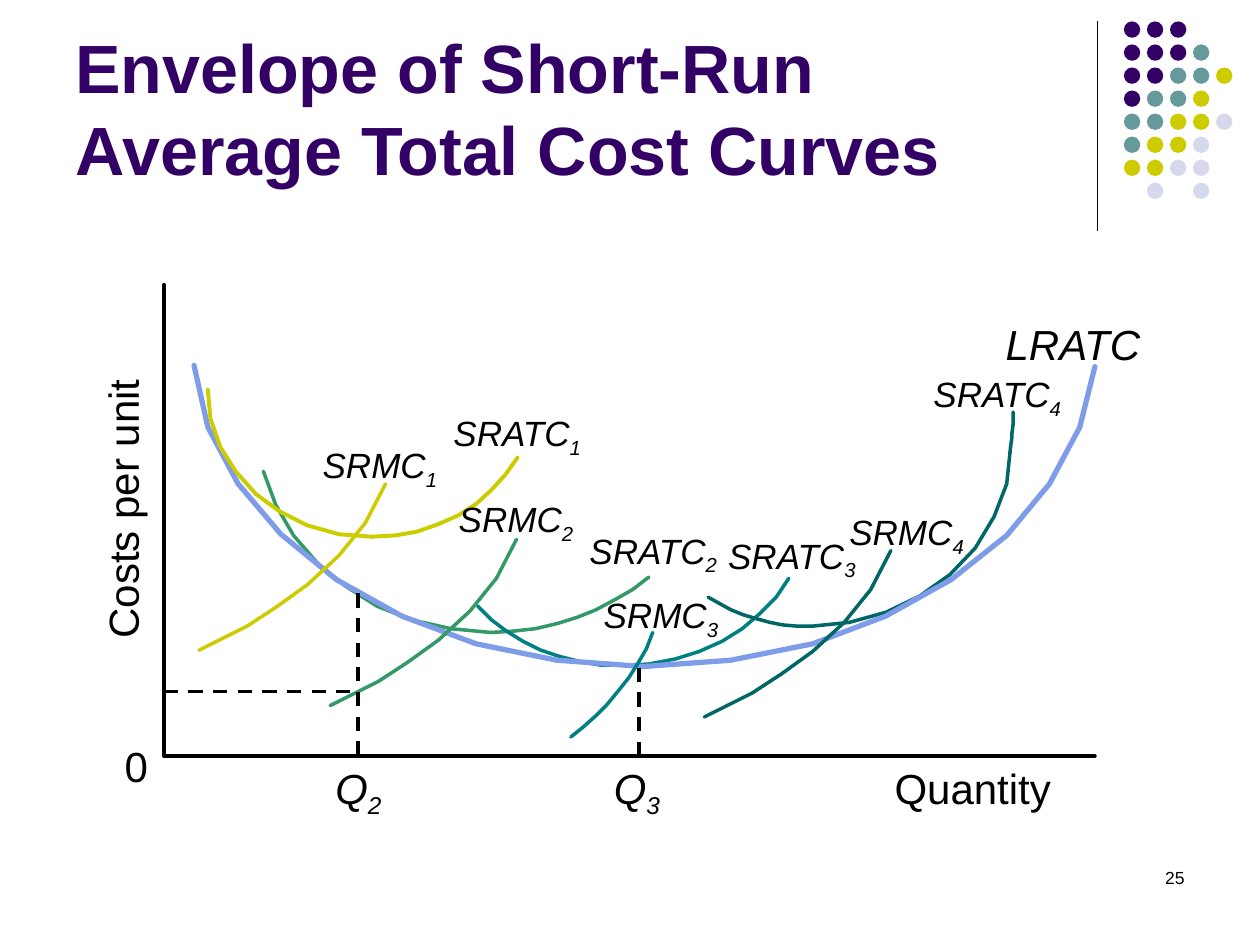
from dataclasses import dataclass

from pptx import Presentation
from pptx.dml.color import RGBColor as RGB
from pptx.enum.dml import MSO_LINE_DASH_STYLE as Dash
from pptx.enum.shapes import MSO_CONNECTOR as Conn, MSO_SHAPE as Shape
from pptx.enum.text import MSO_ANCHOR as Anchor, MSO_AUTO_SIZE as Auto, PP_ALIGN as Align
from pptx.oxml.ns import qn
from pptx.util import Inches, Pt
from lxml import etree

COLORS = {
    "black": "000000", "purple": "330066", "slate": "669999", "yellow": "CCCC00",
    "lilac": "D8D8EC", "green": "339966", "teal": "008080", "deep": "006666",
    "blue": "7E9CE8",
}
Points = list[tuple[float, float]]


@dataclass
class Curve:
    color: str
    points: Points
    width: float = 2


@dataclass
class Label:
    text: str
    left: float
    top: float
    width: float
    height: float = 0.5
    sub: str = ""
    size: float = 24
    italic: bool = False
    bold: bool = False
    color: str = "black"
    align: Align = Align.CENTER
    anchor: Anchor = Anchor.TOP
    wrap: bool = False
    rotation: float = 0


def rgb(name: str) -> RGB:
    return RGB.from_string(COLORS[name])


def shift(points: Points, dx: float, dy: float) -> Points:
    return [(x + dx, y + dy) for x, y in points]


def add_line(slide, start: tuple, end: tuple, width: float, dashed: bool = False) -> None:
    line = slide.shapes.add_connector(Conn.STRAIGHT, *map(Inches, start + end))
    line.line.color.rgb = rgb("black")
    line.line.width = Pt(width)
    if dashed:
        line.line.dash_style = Dash.DASH
    etree.SubElement(line._element.spPr, qn("a:effectLst"))


def add_curve(slide, curve: Curve) -> None:
    start, *rest = [(Inches(x), Inches(y)) for x, y in curve.points]
    builder = slide.shapes.build_freeform(*start)
    builder.add_line_segments(rest, close=False)
    sp = builder.convert_to_shape()
    sp.shadow.inherit = False
    sp.fill.background()
    sp.line.color.rgb = rgb(curve.color)
    sp.line.width = Pt(curve.width)
    sp.line._get_or_add_ln().set("cap", "rnd")


def add_label(slide, label: Label) -> None:
    box = slide.shapes.add_textbox(
        *map(Inches, (label.left, label.top, label.width, label.height)))
    box.rotation = label.rotation
    tf = box.text_frame
    tf.word_wrap = label.wrap
    tf.auto_size = Auto.NONE if label.wrap else Auto.SHAPE_TO_FIT_TEXT
    tf.vertical_anchor = label.anchor
    p = tf.paragraphs[0]
    p.alignment = label.align
    for text, baseline in ((label.text, None), (label.sub, "-25000")):
        if not text:
            continue
        r = p.add_run()
        r.text = text
        r.font.name = "Arial"
        r.font.size = Pt(label.size)
        r.font.italic = label.italic
        r.font.bold = label.bold
        r.font.color.rgb = rgb(label.color)
        if baseline:
            r._r.get_or_add_rPr().set("baseline", baseline)


def add_dots(slide) -> None:
    names = {"P": "purple", "S": "slate", "Y": "yellow", "L": "lilac"}
    rows = ["PPP", "PPPS", "PPSSY", "PSSY", "SSYYL", "SYYL", "YYLL", " L L"]
    pitch = 1.28 / (len(rows) - 1)
    for i, row in enumerate(rows):
        for j, code in enumerate(row):
            if code not in names:
                continue
            dot = slide.shapes.add_shape(
                Shape.OVAL, Inches(8.92 + j * pitch), Inches(0.17 + i * pitch),
                Inches(0.13), Inches(0.13))
            dot.shadow.inherit = False
            dot.fill.solid()
            dot.fill.fore_color.rgb = rgb(names[code])
            dot.line.fill.background()


# Marginal cost curves 1, 2 and 4 share one outline
SRMC = [(1.58, 5.16), (1.76, 5.07), (1.96, 4.97), (2.19, 4.82),
        (2.44, 4.64), (2.69, 4.41), (2.9, 4.15), (3.06, 3.84)]

CURVES = [
    # Axes
    Curve("black", [(1.3, 2.26), (1.3, 6), (8.69, 6)]),
    # SRATC 2: right and left arms
    Curve("green", [(5.15, 4.58), (5.02, 4.68), (4.88, 4.76), (4.73, 4.84), (4.58, 4.9),
                    (4.42, 4.95), (4.25, 4.99), (4.07, 5.01), (3.9, 5.02)]),
    Curve("green", [(3.9, 5.02), (3.58, 4.99), (3.27, 4.92), (2.99, 4.81), (2.74, 4.65),
                    (2.52, 4.47), (2.33, 4.25), (2.19, 4.01), (2.09, 3.74)]),
    # SRATC 3
    Curve("teal", [(6.26, 4.59), (6.16, 4.74), (6.03, 4.87), (5.89, 4.99), (5.73, 5.09),
                   (5.55, 5.17), (5.36, 5.23), (5.15, 5.27), (4.94, 5.28)]),
    Curve("teal", [(4.94, 5.28), (4.77, 5.28), (4.6, 5.25), (4.44, 5.21), (4.29, 5.16),
                   (4.15, 5.09), (4.02, 5.01), (3.9, 4.92), (3.79, 4.81)]),
    # SRATC 4: tip, right and left arms
    Curve("deep", [(8.04, 3.27), (8.04, 3.37), (8.03, 3.45), (8.03, 3.48), (8.02, 3.55)]),
    Curve("deep", [(8.02, 3.55), (7.99, 3.84), (7.89, 4.1), (7.74, 4.35), (7.54, 4.56),
                   (7.3, 4.73), (7.03, 4.86), (6.74, 4.94), (6.44, 4.97)]),
    Curve("deep", [(6.44, 4.97), (6.33, 4.97), (6.21, 4.96), (6.11, 4.94), (6, 4.91),
                   (5.9, 4.88), (5.8, 4.84), (5.71, 4.79), (5.62, 4.74)]),
    # LRATC envelope
    Curve("blue", [(8.69, 2.91), (8.57, 3.39), (8.33, 3.84), (7.99, 4.25), (7.55, 4.6),
                   (7.03, 4.89), (6.45, 5.11), (5.8, 5.24), (5.11, 5.29)], 3),
    Curve("blue", [(5.11, 5.29), (4.42, 5.24), (3.78, 5.11), (3.19, 4.89), (2.67, 4.6),
                   (2.23, 4.24), (1.89, 3.84), (1.65, 3.39), (1.54, 2.9)], 3),
    # SRATC 1
    Curve("yellow", [(4.11, 3.63), (4.01, 3.77), (3.9, 3.89), (3.78, 4), (3.64, 4.09),
                     (3.48, 4.16), (3.31, 4.22), (3.14, 4.25), (2.95, 4.26)], 2.25),
    Curve("yellow", [(2.95, 4.26), (2.69, 4.24), (2.44, 4.17), (2.22, 4.06), (2.03, 3.92),
                     (1.87, 3.74), (1.75, 3.55), (1.67, 3.32), (1.65, 3.09)], 2.25),
    # SRMC 1 to 4
    Curve("yellow", SRMC),
    Curve("green", shift(SRMC, 1.04, 0.44)),
    Curve("teal", [(4.53, 5.85), (4.63, 5.77), (4.73, 5.68), (4.82, 5.59), (4.91, 5.48),
                   (4.99, 5.38), (5.06, 5.27), (5.13, 5.15), (5.18, 5.02)]),
    Curve("deep", shift(SRMC, 4.01, 0.53)),
]

# Left and top of the curve labels, numbered from 1
SRATC_AT = [(3.49, 3.22), (4.57, 4.15), (5.67, 4.19), (7.3, 2.91)]
SRMC_AT = [(2.46, 3.47), (3.54, 3.9), (4.69, 4.66), (6.64, 4)]

LABELS = [
    Label("Costs per unit", -0.23, 3.79, 2.4, rotation=270),
    Label("0", 0.89, 5.83, 0.38),
    Label("Quantity", 7, 6, 1.44),
    Label("LRATC", 7.87, 2.48, 1.29, italic=True),
    *(Label(name, x, y, width, 0.48, str(n), 20, italic=True)
      for name, width, spots in (("SRATC", 1.23, SRATC_AT), ("SRMC", 1.11, SRMC_AT))
      for n, (x, y) in enumerate(spots, 1)),
    *(Label("Q", x, 6, 0.57, 0.55, n, italic=True) for n, x in (("2", 2.56), ("3", 4.77))),
    Label("Envelope of Short-Run Average Total Cost Curves", 0.5, 0.13, 8.25, 1.42, size=39,
          bold=True, color="purple", align=Align.LEFT, anchor=Anchor.BOTTOM, wrap=True),
    Label("25", 7.17, 6.83, 2.33, size=10, align=Align.RIGHT, wrap=True),
]

GUIDES = [((1.3, 5.49), (2.82, 5.49)), ((2.84, 4.71), (2.84, 6.02)), ((5.07, 5.3), (5.07, 5.99))]


def main() -> None:
    prs = Presentation()
    prs.slide_width, prs.slide_height = Inches(10), Inches(7.5)
    s = prs.slides.add_slide(prs.slide_layouts[6])

    # Corner decoration
    add_line(s, (8.71, 0.17), (8.71, 1.83), 0.75)
    add_dots(s)

    # Cost diagram and text
    for curve in CURVES:
        add_curve(s, curve)
    for start, end in GUIDES:
        add_line(s, start, end, 2, dashed=True)
    for label in LABELS:
        add_label(s, label)

    prs.save("out.pptx")


if __name__ == "__main__":
    main()
